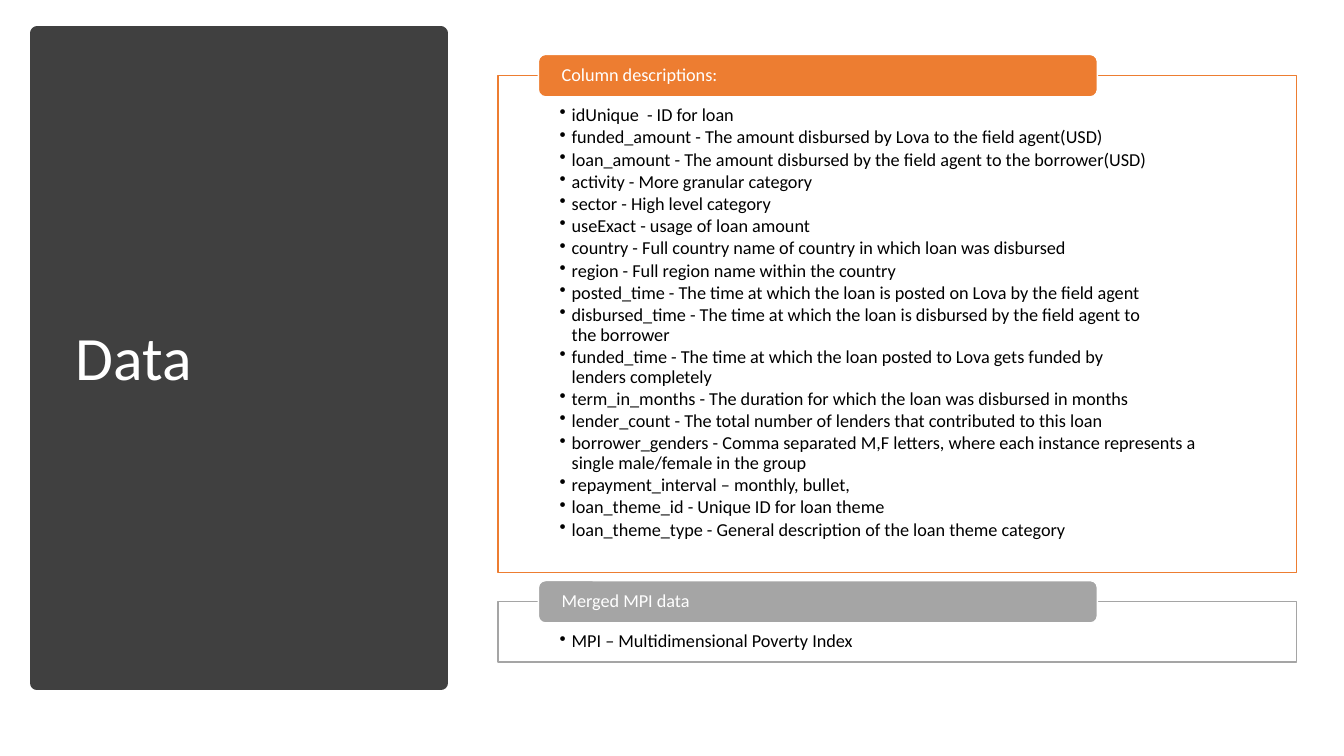
from dataclasses import dataclass

from lxml import etree
from pptx import Presentation, util as u
from pptx.dml.color import RGBColor
from pptx.enum import shapes, text
from pptx.oxml.ns import qn


@dataclass(frozen=True)
class Theme:
    font: str = "Calibri"
    title_size: int = 44
    body_size: int = 13
    panel: str = "404040"
    paper: str = "FFFFFF"
    ink: str = "000000"
    orange: str = "ED7D31"
    grey: str = "A5A5A5"


theme = Theme()
NBSP = chr(160)

columns = [
    ("idUnique ", "ID for loan"),
    ("funded_amount", "The amount disbursed by Lova to the field agent(USD)"),
    ("loan_amount", "The amount disbursed by the field agent to the borrower(USD)"),
    ("activity", "More granular category"),
    ("sector", "High level category"),
    ("useExact", "usage of loan amount"),
    ("country", "Full country name of country in which loan was disbursed"),
    ("region", "Full region name within the country"),
    ("posted_time", "The time at which the loan is posted on Lova by the field agent"),
    ("disbursed_time", "The time at which the loan is disbursed by the field agent to the borrower"),
    ("funded_time", "The time at which the loan posted to Lova gets funded by lenders completely"),
    ("term_in_months", "The duration for which the loan was disbursed in months"),
    ("lender_count", "The total number of lenders that contributed to this loan"),
    ("borrower_genders", "Comma separated M,F letters, where each instance represents "
                         "a single male/female in the group"),
    ("repayment_interval", "monthly, bullet,"),
    ("loan_theme_id", "Unique ID for loan theme"),
    ("loan_theme_type", "General description of the loan theme category"),
]
column_lines = []
for name, meaning in columns:
    dash = "–" if name == "repayment_interval" else "-"
    # The last two words stay together when a line wraps
    column_lines.append(f"{name} {dash} " + NBSP.join(meaning.rsplit(" ", 1)))

# heading, accent colour, frame top, frame height, lines
sections = [
    ("Column descriptions:", theme.orange, 0.75, 4.93, column_lines),
    ("Merged MPI data", theme.grey, 5.97, 0.6, ["MPI – Multidimensional Poverty Index"]),
]
FRAME_LEFT, FRAME_WIDTH = 4.94, 7.92
TAB_INDENT, TAB_WIDTH, TAB_HEIGHT = 0.4, 0.7 * FRAME_WIDTH, 0.42
BULLET_INDENT = 0.12

deck = Presentation()
deck.slide_width, deck.slide_height = u.Inches(13.33), u.Inches(7.5)
slide = deck.slides.add_slide(deck.slide_layouts[6])


def add_box(kind, at, fill, line, line_width, margins=(0.1, 0.05, 0.1, 0.05),
            anchor=text.MSO_ANCHOR.MIDDLE):
    """Add a flat shape, with at and margins in inches; return its text frame."""
    box = slide.shapes.add_shape(kind, *map(u.Inches, at))
    box.shadow.inherit = False
    box.fill.solid()
    box.fill.fore_color.rgb = RGBColor.from_string(fill)
    box.line.color.rgb = RGBColor.from_string(line)
    box.line.width = u.Pt(line_width)
    frame = box.text_frame
    frame.word_wrap = True
    frame.vertical_anchor = anchor
    (frame.margin_left, frame.margin_top,
     frame.margin_right, frame.margin_bottom) = map(u.Inches, margins)
    return frame


def write(paragraph, words, size, colour):
    paragraph.text = words
    paragraph.alignment = text.PP_ALIGN.LEFT
    paragraph.line_spacing = 0.9
    paragraph.font.name = theme.font
    paragraph.font.size = u.Pt(size)
    paragraph.font.color.rgb = RGBColor.from_string(colour)


RECT, ROUNDED = shapes.MSO_SHAPE.RECTANGLE, shapes.MSO_SHAPE.ROUNDED_RECTANGLE

add_box(RECT, (0.37, 0.33, 4, 6.45), theme.panel, theme.panel, 10)
title = slide.shapes.add_textbox(*map(u.Inches, (0.65, 0.7, 3.46, 5.75))).text_frame
title.word_wrap = True
title.vertical_anchor = text.MSO_ANCHOR.MIDDLE
write(title.paragraphs[0], "Data", theme.title_size, theme.paper)

for heading, accent, top, height, lines in sections:
    body = add_box(RECT, (FRAME_LEFT, top, FRAME_WIDTH, height), theme.paper, accent, 1,
                   (0.61, 0.3, 0.61, 0.1), text.MSO_ANCHOR.TOP)
    for number, line in enumerate(lines):
        item = body.add_paragraph() if number else body.paragraphs[0]
        write(item, line, theme.body_size, theme.ink)
        item.space_after = u.Pt(1.8)
        properties = item._p.get_or_add_pPr()
        properties.set("marL", str(u.Inches(BULLET_INDENT)))
        properties.set("indent", str(-u.Inches(BULLET_INDENT)))
        bullet = etree.Element(qn("a:buChar"), char="•")
        properties.find(qn("a:spcAft")).addnext(bullet)

    tab = add_box(ROUNDED, (FRAME_LEFT + TAB_INDENT, top - TAB_HEIGHT / 2, TAB_WIDTH, TAB_HEIGHT),
                  accent, theme.paper, 1, (0.21, 0, 0.21, 0))
    write(tab.paragraphs[0], heading, theme.body_size, theme.paper)

deck.save("out.pptx")
